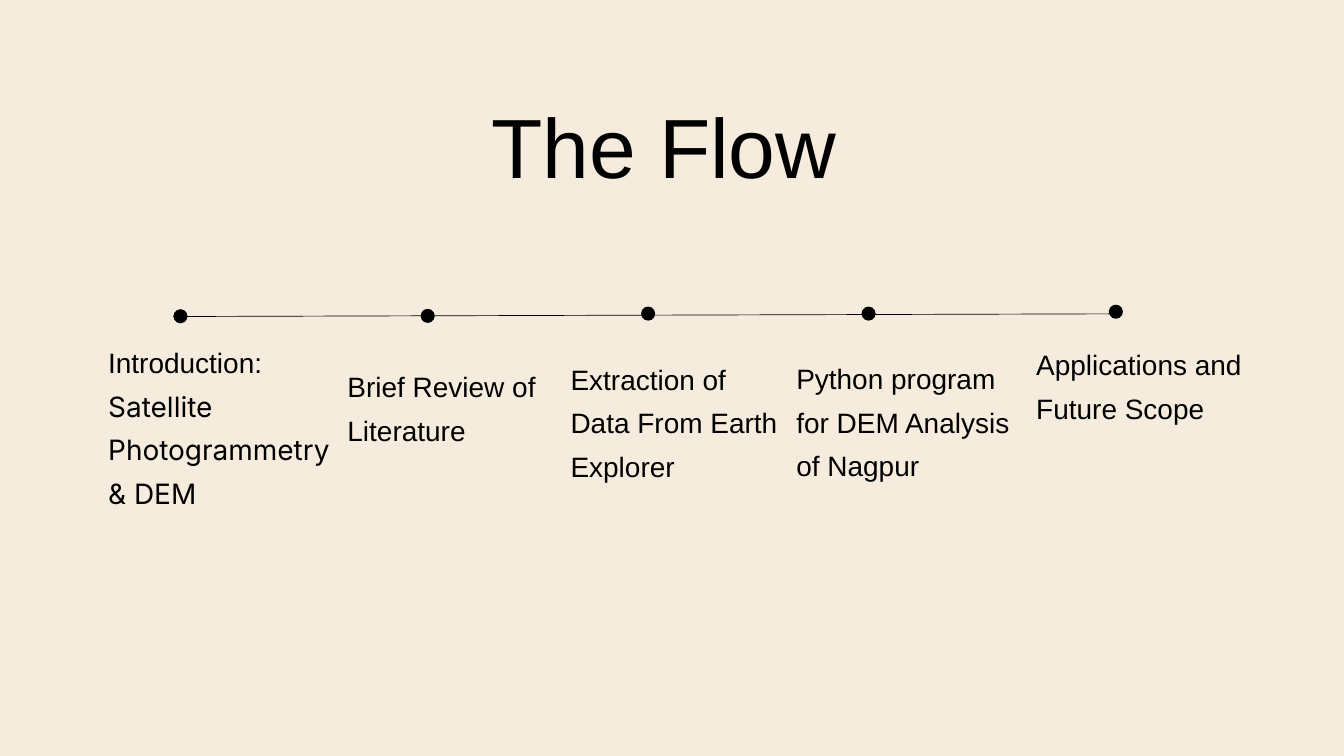
import pptx
import pptx.util
import pptx.dml.color
import pptx.enum.shapes
import pptx.enum.text
import pptx.oxml.ns
import lxml.etree

deck = pptx.Presentation()
deck.slide_width = pptx.util.Inches(20)
deck.slide_height = pptx.util.Inches(11.25)
slide = deck.slides.add_slide(deck.slide_layouts[6])
shapes = slide.shapes

# Grid of 100 columns by 100 rows
col = deck.slide_width / 100
row = deck.slide_height / 100
ink = "000000"
align = pptx.enum.text.PP_ALIGN


def color(code):
    return pptx.dml.color.RGBColor.from_string(code)


def write(left, top, wide, high, paras, size, space, side):
    box = shapes.add_textbox(int(left * col), int(top * row), int(wide * col), int(high * row))
    frame = box.text_frame
    form = {
        "margin_left": 0, "margin_right": 0, "margin_top": 0, "margin_bottom": 0,
        "word_wrap": True,
        "auto_size": pptx.enum.text.MSO_AUTO_SIZE.SHAPE_TO_FIT_TEXT,
    }
    for key, value in form.items():
        setattr(frame, key, value)
    for i, runs in enumerate(paras):
        para = frame.add_paragraph() if i else frame.paragraphs[0]
        para.alignment = side
        para.line_spacing = space
        for j, (text, face) in enumerate(runs):
            if j:
                para.add_line_break()
            run = para.add_run()
            run.text = text
            for key, value in {"name": face, "size": pptx.util.Pt(size)}.items():
                setattr(run.font, key, value)
            run.font.color.rgb = color(ink)


# Background
slide.background.fill.solid()
slide.background.fill.fore_color.rgb = color("F6ECDE")

# Timeline
line = shapes.add_connector(
    pptx.enum.shapes.MSO_CONNECTOR.STRAIGHT,
    int(12.9 * col), int(41.87 * row), int(83.5 * col), int(41.51 * row))
line.line.color.rgb = color(ink)
line.line.width = pptx.util.Pt(0.75)
lxml.etree.SubElement(line._element.spPr, pptx.oxml.ns.qn("a:effectLst"))

# Title
write(13.25, 9.87, 72.3, 16.18, [[("The Flow", "Arial")]], 90, 1.2, align.CENTER)

# Steps: dot left and top, then label left, top, width, height and text
steps = [
    (12.9, 40.9, 8.05, 44.36, 17.2, 23.38,
     [[("Introduction:", "Arial"), ("Satellite", "Inter")], [("Photogrammetry & DEM", "Inter")]]),
    (31.3, 40.85, 25.85, 47.56, 16.4, 11.64, [[("Brief Review of Literature", "Arial")]]),
    (47.7, 40.55, 42.45, 46.58, 16.4, 21.96, [[("Extraction of Data From Earth Explorer", "Arial")]]),
    (64.1, 40.55, 59.25, 46.49, 16.65, 16.18, [[("Python program for DEM Analysis of Nagpur", "Arial")]]),
    (82.5, 40.3, 77.1, 44.62, 17.25, 11.64, [[("Applications and Future Scope", "Arial")]]),
]
size = int(1.05 * col)
for x, y, left, top, wide, high, paras in steps:
    dot = shapes.add_shape(pptx.enum.shapes.MSO_SHAPE.OVAL, int(x * col), int(y * row), size, size)
    dot.shadow.inherit = False
    dot.fill.solid()
    dot.fill.fore_color.rgb = color(ink)
    dot.line.fill.background()
    write(left, top, wide, high, paras, 30, 1.3, align.LEFT)

deck.save("out.pptx")
